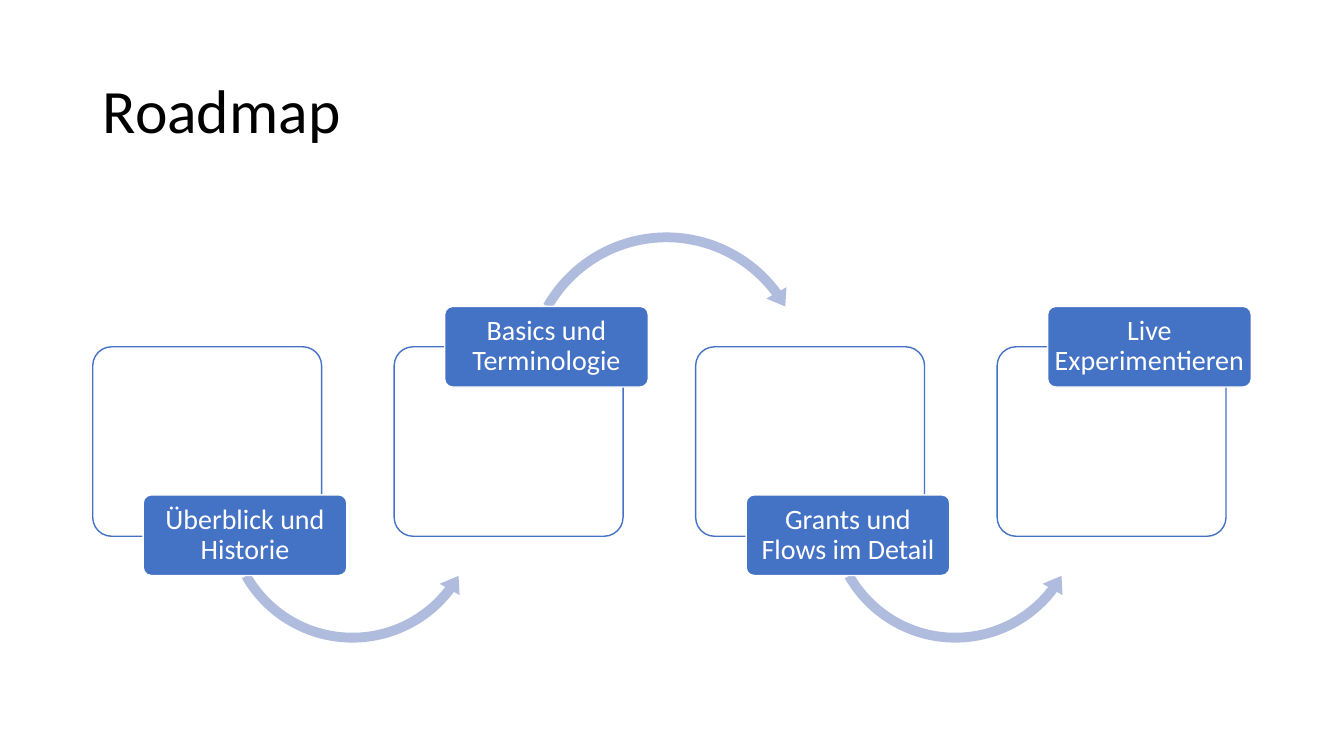
from dataclasses import dataclass

from lxml import etree
from pptx import Presentation
from pptx.dml.color import RGBColor
from pptx.enum.shapes import MSO_SHAPE
from pptx.enum.text import MSO_ANCHOR, MSO_AUTO_SIZE, PP_ALIGN
from pptx.oxml.ns import qn
from pptx.util import Pt

ROUND = MSO_SHAPE.ROUNDED_RECTANGLE
OVER = MSO_SHAPE.CIRCULAR_ARROW
UNDER = MSO_SHAPE.LEFT_CIRCULAR_ARROW
LEFT, CENTER = PP_ALIGN.LEFT, PP_ALIGN.CENTER
MIDDLE = MSO_ANCHOR.MIDDLE
FIXED = MSO_AUTO_SIZE.NONE
SCALE = 9144


@dataclass(frozen=True)
class Theme:
    """Colours, font and type sizes of the deck."""
    ink: str = "000000"
    paper: str = "FFFFFF"
    accent: str = "4472C4"
    pale: str = "B0BCDE"
    font: str = "Calibri"
    title: int = 44
    label: int = 20


THEME = Theme()
STEPS = ["Überblick und Historie", "Basics und Terminologie",
         "Grants und Flows im Detail", "Live Experimentieren"]
CURVES = {
    UNDER: (125, 35, 265, (0.037, 4.574, 22.329, 90.245, 0.043)),
    OVER: (123, -120, 294, (0.033, 4.086, 194.159, 125.755, 0.039)),
}


def px(*nums):
    """Turn px lengths into EMU."""
    return [n * SCALE for n in nums]


def write(shape, text, size, color, align=LEFT, inset=(10, 5)):
    """Put formatted text into a shape."""
    frame = shape.text_frame
    frame.word_wrap = True
    frame.auto_size = FIXED
    frame.vertical_anchor = MIDDLE
    side, edge = px(*inset)
    frame.margin_left = frame.margin_right = side
    frame.margin_top = frame.margin_bottom = edge
    para = frame.paragraphs[0]
    para.alignment = align
    para.line_spacing = 0.9
    run = para.add_run()
    run.text = text
    run.font.name = THEME.font
    run.font.size = Pt(size)
    run.font.color.rgb = RGBColor.from_string(color)


def draw(slide, kind, box, fill, line=None, adjust=(0.1,)):
    """Add a filled preset shape in the given box."""
    shape = slide.shapes.add_shape(kind, *px(*box))
    shape.shadow.inherit = False
    for i, value in enumerate(adjust):
        shape.adjustments[i] = value
    shape.fill.solid()
    shape.fill.fore_color.rgb = RGBColor.from_string(fill)
    if line:
        shape.line.color.rgb = RGBColor.from_string(line)
        shape.line.width = Pt(1)
    else:
        shape.line.fill.background()
    return shape


def fade(shape, share):
    """Set the opacity of a solid fill in percent."""
    color = shape.fill._xPr.find(qn("a:solidFill"))[0]
    etree.SubElement(color, qn("a:alpha")).set("val", str(share * 1000))


def head(slide, text, box):
    """Place the slide title."""
    title = slide.shapes.title
    title.left, title.top, title.width, title.height = px(*box)
    write(title, text, THEME.title, THEME.ink)


def step(slide, text, box, low, last):
    """Place a card, its label and the arrow to the next card."""
    x, y, _, _ = box
    fade(draw(slide, ROUND, box, THEME.paper, THEME.accent), 90)
    if not last:
        kind = UNDER if low else OVER
        dx, dy, size, adjust = CURVES[kind]
        draw(slide, kind, (x + dx, y + dy, size, size), THEME.pale,
             adjust=adjust)
    top = y + 147 if low else y - 40
    tag = draw(slide, ROUND, (x + 50, top, 202, 80), THEME.accent, THEME.paper)
    write(tag, text, THEME.label, THEME.paper, align=CENTER, inset=(3, 3))


def road(slide, box):
    """Place the steps in a row, labels below and above in turn."""
    x, y, wide, high = box
    card = 227
    pitch = (wide - card) // (len(STEPS) - 1)
    for i, text in enumerate(STEPS):
        step(slide, text, (x + i * pitch, y, card, high),
             low=i % 2 == 0, last=i == len(STEPS) - 1)


def main():
    """Build and save the deck."""
    deck = Presentation()
    deck.slide_width, deck.slide_height = px(1333, 750)
    slide = deck.slides.add_slide(deck.slide_layouts[5])
    head(slide, "Roadmap", (92, 40, 1150, 145))
    road(slide, (92, 344, 1124, 188))
    deck.save("out.pptx")


if __name__ == "__main__":
    main()
